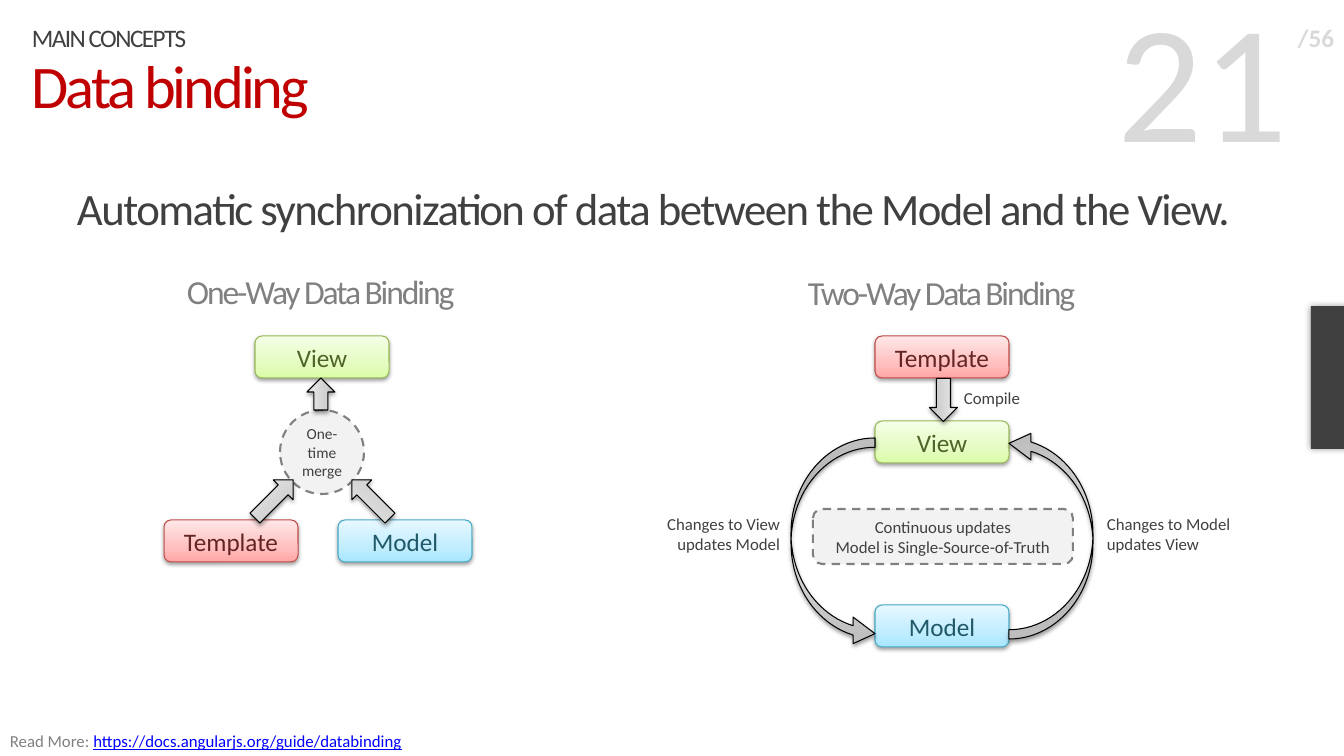
from dataclasses import dataclass
from typing import Any, NamedTuple

from pptx import Presentation
from pptx.dml.color import RGBColor
from pptx.enum.dml import MSO_LINE
from pptx.enum.shapes import MSO_SHAPE
from pptx.enum.text import MSO_ANCHOR, MSO_AUTO_SIZE, PP_ALIGN
from pptx.oxml import parse_xml
from pptx.oxml.ns import nsdecls, qn
from pptx.util import Emu, Pt

SLIDE_W, SLIDE_H = 1344, 756
EMU_PER_PX = 12192000 / SLIDE_W
FONT = "Calibri"
DARK, GRAY, PALE, RED, BLUE = "404040", "808080", "D9D9D9", "C00000", "0000FF"
PANEL = "F2F2F2"

RECT, ROUNDED, OVAL = MSO_SHAPE.RECTANGLE, MSO_SHAPE.ROUNDED_RECTANGLE, MSO_SHAPE.OVAL
ARROW, CURVED = MSO_SHAPE.RIGHT_ARROW, MSO_SHAPE.CURVED_RIGHT_ARROW
DASH = MSO_LINE.DASH
LEFT, CENTER, RIGHT = PP_ALIGN.LEFT, PP_ALIGN.CENTER, PP_ALIGN.RIGHT
TOP, MIDDLE, BOTTOM = MSO_ANCHOR.TOP, MSO_ANCHOR.MIDDLE, MSO_ANCHOR.BOTTOM
GROW = MSO_AUTO_SIZE.SHAPE_TO_FIT_TEXT
NO_INSETS = {f"margin_{side}": 0 for side in ("left", "top", "right", "bottom")}
LABEL = {"auto_size": GROW, "word_wrap": False}
NOTE = {"auto_size": GROW, "word_wrap": True}

NODE_W, NODE_H = 134, 42
CURVE_W, CURVE_H = 84, 209
CURVE_ADJUSTMENTS = (0.111, 0.316, 0.261)


class Box(NamedTuple):
    left: int
    top: int
    width: int
    height: int


class Run(NamedTuple):
    text: str
    color: str
    underline: bool = False


class Shadow(NamedTuple):
    alpha: int
    blur: float
    distance: float


class Palette(NamedTuple):
    stops: tuple[str, str, str]
    line: str
    text: str = DARK


@dataclass(frozen=True)
class Caption:
    box: Box
    runs: tuple[Run, ...]
    size: float
    align: Any = LEFT
    spacing: int = 0
    bold: bool = False
    frame: Any = None


class Node(NamedTuple):
    name: str
    left: int
    top: int


class Arrow(NamedTuple):
    box: Box
    rotation: int
    curved: bool = False


class Panel(NamedTuple):
    kind: Any
    box: Box
    lines: tuple[str, ...]
    size: int


@dataclass(frozen=True)
class Diagram:
    nodes: tuple[Node, ...]
    panel: Panel
    arrows: tuple[Arrow, ...]
    captions: tuple[Caption, ...]


NODE_COLORS = {
    "View": Palette(("DAFDA7", "E4FCC2", "F5FFE7"), "98B955", "4F6228"),
    "Template": Palette(("FFA6A5", "FFC0BF", "FFE7E7"), "BF4C48", "632523"),
    "Model": Palette(("A7E6FF", "C1EDFF", "E7F8FF"), "46AAC5", "215968"),
}
ARROW_COLORS = Palette(("BDBDBD", "D1D1D1", "EEEEEE"), "000000")
RAISED = Shadow(38, 3.1, 1.6)
HALO = Shadow(40, 5, 0)


def px(length: float) -> Emu:
    return Emu(round(length * EMU_PER_PX))


def rgb(color: str) -> RGBColor:
    return RGBColor.from_string(color)


def apply(target: Any, values: dict[str, Any]) -> None:
    for name, value in values.items():
        setattr(target, name, value)


def write(paragraph: Any, runs: tuple[Run, ...], size: float, align: Any,
          spacing: int = 0, bold: bool = False) -> None:
    paragraph.alignment = align
    for part in runs:
        run = paragraph.add_run()
        run.text = part.text
        apply(run.font, {"name": FONT, "size": Pt(size), "bold": bold,
                         "underline": part.underline})
        run.font.color.rgb = rgb(part.color)
        if spacing:
            run.font._element.set("spc", str(spacing))


def add_caption(shapes: Any, caption: Caption) -> None:
    frame = shapes.add_textbox(*map(px, caption.box)).text_frame
    apply(frame, {"word_wrap": True} | (caption.frame or {}))
    write(frame.paragraphs[0], caption.runs, caption.size, caption.align,
          caption.spacing, caption.bold)


def add_figure(shapes: Any, kind: Any, box: Box, rotation: int = 0) -> Any:
    figure = shapes.add_shape(kind, *map(px, box))
    apply(figure, {"rotation": rotation})
    figure.shadow.inherit = False
    return figure


def cast_shadow(figure: Any, shadow: Shadow) -> None:
    figure._element.spPr.find(qn("a:effectLst")).append(parse_xml(
        f'<a:outerShdw {nsdecls("a")} blurRad="{Pt(shadow.blur)}" dist="{Pt(shadow.distance)}" '
        f'dir="5400000" rotWithShape="0"><a:srgbClr val="000000">'
        f'<a:alpha val="{shadow.alpha * 1000}"/></a:srgbClr></a:outerShdw>'))


def paint(figure: Any, palette: Palette) -> None:
    figure.fill.gradient()
    figure.fill.gradient_angle = 90
    gradient = figure._element.spPr.find(qn("a:gradFill"))
    stops = "".join(f'<a:gs pos="{position * 1000}"><a:srgbClr val="{color}"/></a:gs>'
                    for position, color in zip((0, 35, 100), palette.stops))
    gradient.replace(gradient.find(qn("a:gsLst")),
                     parse_xml(f'<a:gsLst {nsdecls("a")}>{stops}</a:gsLst>'))
    figure.line.color.rgb = rgb(palette.line)
    figure.line.width = Pt(0.75)
    cast_shadow(figure, RAISED)


def add_node(shapes: Any, node: Node) -> None:
    palette = NODE_COLORS[node.name]
    figure = add_figure(shapes, ROUNDED, Box(node.left, node.top, NODE_W, NODE_H))
    paint(figure, palette)
    figure.text_frame.vertical_anchor = MIDDLE
    write(figure.text_frame.paragraphs[0], (Run(node.name, palette.text),), 18, CENTER)


def add_panel(shapes: Any, panel: Panel) -> None:
    figure = add_figure(shapes, panel.kind, panel.box)
    figure.fill.solid()
    figure.fill.fore_color.rgb = rgb(PANEL)
    figure.line.color.rgb = rgb(GRAY)
    apply(figure.line, {"width": Pt(1.5), "dash_style": DASH})
    frame = figure.text_frame
    apply(frame, NO_INSETS | {"vertical_anchor": MIDDLE, "word_wrap": True})
    for index, line in enumerate(panel.lines):
        paragraph = frame.add_paragraph() if index else frame.paragraphs[0]
        write(paragraph, (Run(line, DARK),), panel.size, CENTER)


def add_arrow(shapes: Any, arrow: Arrow) -> None:
    figure = add_figure(shapes, CURVED if arrow.curved else ARROW, arrow.box, arrow.rotation)
    if arrow.curved:
        for index, value in enumerate(CURVE_ADJUSTMENTS):
            figure.adjustments[index] = value
    paint(figure, ARROW_COLORS)


def add_diagram(shapes: Any, diagram: Diagram) -> None:
    members = shapes.add_group_shape().shapes
    for node in diagram.nodes:
        add_node(members, node)
    add_panel(members, diagram.panel)
    for arrow in diagram.arrows:
        add_arrow(members, arrow)
    for caption in diagram.captions:
        add_caption(members, caption)


def add_side_tab(shapes: Any) -> None:
    tab = add_figure(shapes, RECT, Box(1261, 356, 143, 43), 270)
    tab.fill.solid()
    tab.fill.fore_color.rgb = rgb(DARK)
    tab.line.fill.background()
    cast_shadow(tab, HALO)


CAPTIONS = (
    Caption(Box(806, -25, 482, 252), (Run("21", PALE),), 120, RIGHT, frame=NO_INSETS),
    Caption(Box(22, 50, 1210, 76), (Run("Data binding", RED),), 43.2, spacing=-220,
            frame={"vertical_anchor": BOTTOM}),
    Caption(Box(67, 176, 1210, 69),
            (Run("Automatic synchronization of data between the Model and the View.", DARK),),
            32, spacing=-110, frame={"vertical_anchor": TOP}),
    Caption(Box(22, 17, 1210, 42), (Run("MAIN CONCEPTS", DARK),), 18, spacing=-110),
    Caption(Box(1243, 18, 101, 40), (Run("/56", PALE),), 18, RIGHT, bold=True,
            frame={"vertical_anchor": BOTTOM}),
    Caption(Box(0, 726, 415, 30),
            (Run("Read More: ", GRAY),
             Run("https://docs.angularjs.org/guide/databinding", BLUE, True)), 12, frame=LABEL),
)

ONE_WAY = Diagram(
    (Node("View", 255, 336), Node("Template", 164, 520), Node("Model", 338, 520)),
    Panel(OVAL, Box(280, 410, 84, 84), ("One-time merge",), 11),
    (Arrow(Box(305, 380, 32, 28), 270), Arrow(Box(247, 485, 54, 28), 315),
     Arrow(Box(344, 485, 54, 28), 225)),
    (Caption(Box(177, 266, 288, 50), (Run("One-Way Data Binding", GRAY),), 24,
             spacing=-150, frame=LABEL),),
)

TWO_WAY = Diagram(
    (Node("View", 875, 421), Node("Template", 875, 336), Node("Model", 875, 605)),
    Panel(ROUNDED, Box(813, 509, 260, 55),
          ("Continuous updates", "Model is Single-Source-of-Truth"), 12),
    (Arrow(Box(922, 386, 43, 28), 90), Arrow(Box(791, 438, CURVE_W, CURVE_H), 0, True),
     Arrow(Box(1009, 430, CURVE_W, CURVE_H), 180, True)),
    (Caption(Box(954, 383, 77, 30), (Run("Compile", DARK),), 12, frame=LABEL),
     Caption(Box(1097, 509, 150, 50), (Run("Changes to Model updates View", DARK),), 12,
             frame=NOTE),
     Caption(Box(640, 509, 150, 50), (Run("Changes to View updates Model", DARK),), 12,
             RIGHT, frame=NOTE),
     Caption(Box(798, 267, 288, 50), (Run("Two-Way Data Binding", GRAY),), 24,
             spacing=-150, frame=LABEL)),
)


def main() -> None:
    deck = Presentation()
    apply(deck, {"slide_width": px(SLIDE_W), "slide_height": px(SLIDE_H)})
    shapes = deck.slides.add_slide(deck.slide_layouts[6]).shapes
    add_side_tab(shapes)
    for caption in CAPTIONS:
        add_caption(shapes, caption)
    for diagram in (ONE_WAY, TWO_WAY):
        add_diagram(shapes, diagram)
    deck.save("out.pptx")


if __name__ == "__main__":
    main()
